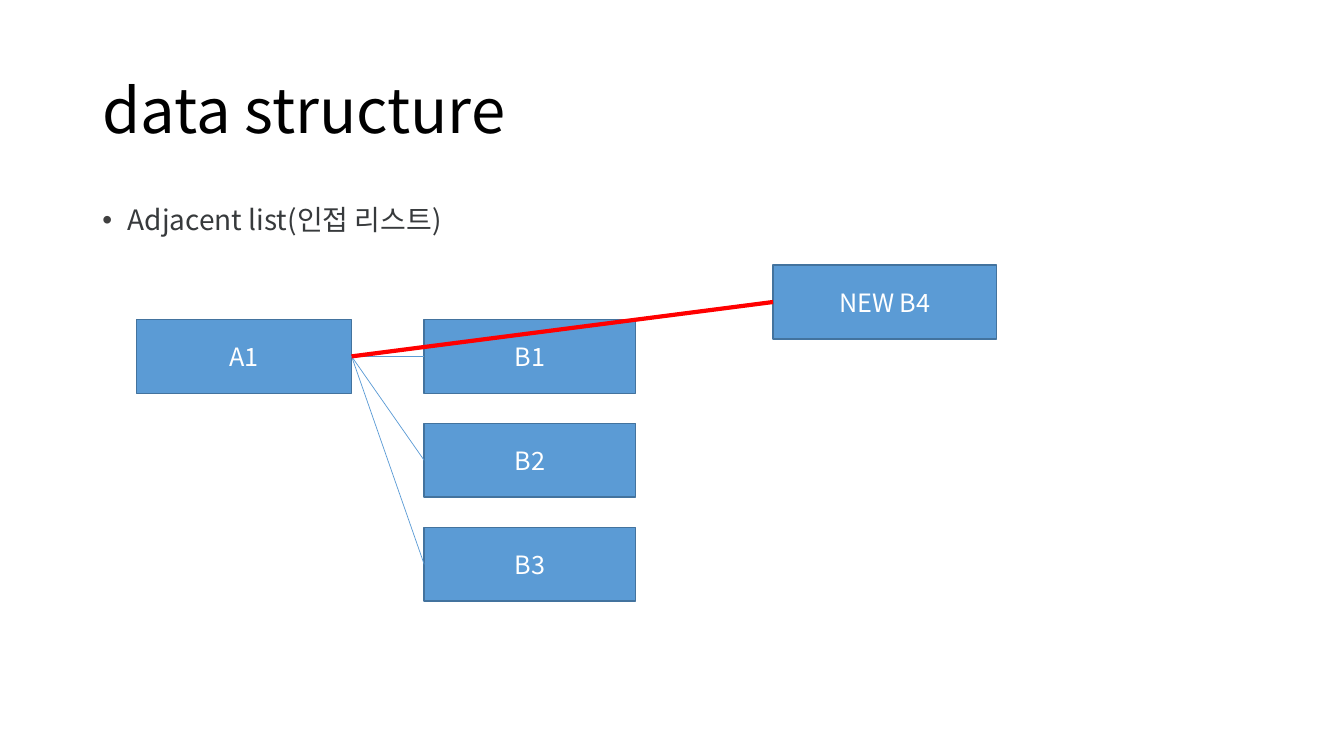
from lxml.etree import SubElement
from pptx import Presentation
from pptx.dml.color import RGBColor
from pptx.enum.shapes import MSO_CONNECTOR as Connector, MSO_SHAPE as Shape
from pptx.enum.text import MSO_ANCHOR as Anchor, PP_ALIGN as Align
from pptx.oxml.ns import qn
from pptx.util import Cm, Pt

FONT = "Noto Sans CJK KR"
TITLE = "data structure"
BULLET = "Adjacent list(인접 리스트)"
SOURCE_NODE = "A1"
NEIGHBOURS = ["B1", "B2", "B3"]
NEW_NODE = "NEW B4"

MARGIN, TEXT_WIDTH = 2.33, 29.21
NODE_HEIGHT, NODE_TOP, NODE_STEP = 1.86, 8.05, 2.62


def color(value):
    return RGBColor.from_string(value)


def style_text(paragraph, size, hex_color):
    for run in paragraph.runs:
        run.font.size = Pt(size)
        run.font.name = FONT
        run.font.color.rgb = color(hex_color)
        SubElement(run._r.get_or_add_rPr(), qn("a:ea"), typeface=FONT)


def add_text(slide, text, top, height, size, hex_color, anchor):
    box = slide.shapes.add_textbox(Cm(MARGIN), Cm(top), Cm(TEXT_WIDTH), Cm(height))
    frame = box.text_frame
    frame.text = text
    frame.word_wrap = True
    frame.vertical_anchor = anchor
    paragraph = frame.paragraphs[0]
    paragraph.line_spacing = 0.9
    style_text(paragraph, size, hex_color)
    return paragraph


def add_bullet(paragraph, hex_color):
    properties = paragraph._p.get_or_add_pPr()
    indent = Cm(0.64)
    properties.set("marL", str(indent))
    properties.set("indent", str(-indent))
    bullet_color = SubElement(properties, qn("a:buClr"))
    SubElement(bullet_color, qn("a:srgbClr"), val=hex_color)
    SubElement(properties, qn("a:buFont"), typeface="Arial")
    SubElement(properties, qn("a:buChar"), char="•")


def add_node(slide, text, left, top, width):
    node = slide.shapes.add_shape(
        Shape.RECTANGLE, Cm(left), Cm(top), Cm(width), Cm(NODE_HEIGHT))
    node.shadow.inherit = False
    node.fill.solid()
    node.fill.fore_color.rgb = color("5B9BD5")
    node.line.color.rgb = color("43739E")
    node.line.width = Pt(1)
    node.text_frame.text = text
    node.text_frame.vertical_anchor = Anchor.MIDDLE
    paragraph = node.text_frame.paragraphs[0]
    paragraph.alignment = Align.CENTER
    style_text(paragraph, 18, "FFFFFF")
    return node


def add_edge(slide, start, end, hex_color, width):
    edge = slide.shapes.add_connector(Connector.STRAIGHT, 0, 0, 0, 0)
    edge.begin_connect(start, 3)
    edge.end_connect(end, 1)
    edge.line.color.rgb = color(hex_color)
    edge.line.width = Pt(width)
    SubElement(edge._element.spPr, qn("a:effectLst"))


def main():
    presentation = Presentation()
    presentation.slide_width, presentation.slide_height = Cm(33.87), Cm(19.05)
    slide = presentation.slides.add_slide(presentation.slide_layouts[6])

    add_text(slide, TITLE, 1.02, 3.68, 44, "000000", Anchor.MIDDLE)
    paragraph = add_text(slide, BULLET, 5.08, 12.09, 20, "373A3C", Anchor.TOP)
    paragraph.space_before = Pt(10)
    add_bullet(paragraph, "404040")

    source = add_node(slide, SOURCE_NODE, 3.44, NODE_TOP, 5.42)
    neighbours = [add_node(slide, name, 10.69, NODE_TOP + row * NODE_STEP, 5.33)
                  for row, name in enumerate(NEIGHBOURS)]
    new_node = add_node(slide, NEW_NODE, 19.48, 6.68, 5.64)

    for neighbour in neighbours:
        add_edge(slide, source, neighbour, "5B9BD5", 0.5)
    add_edge(slide, source, new_node, "FF0000", 3)

    presentation.save("out.pptx")


if __name__ == "__main__":
    main()
